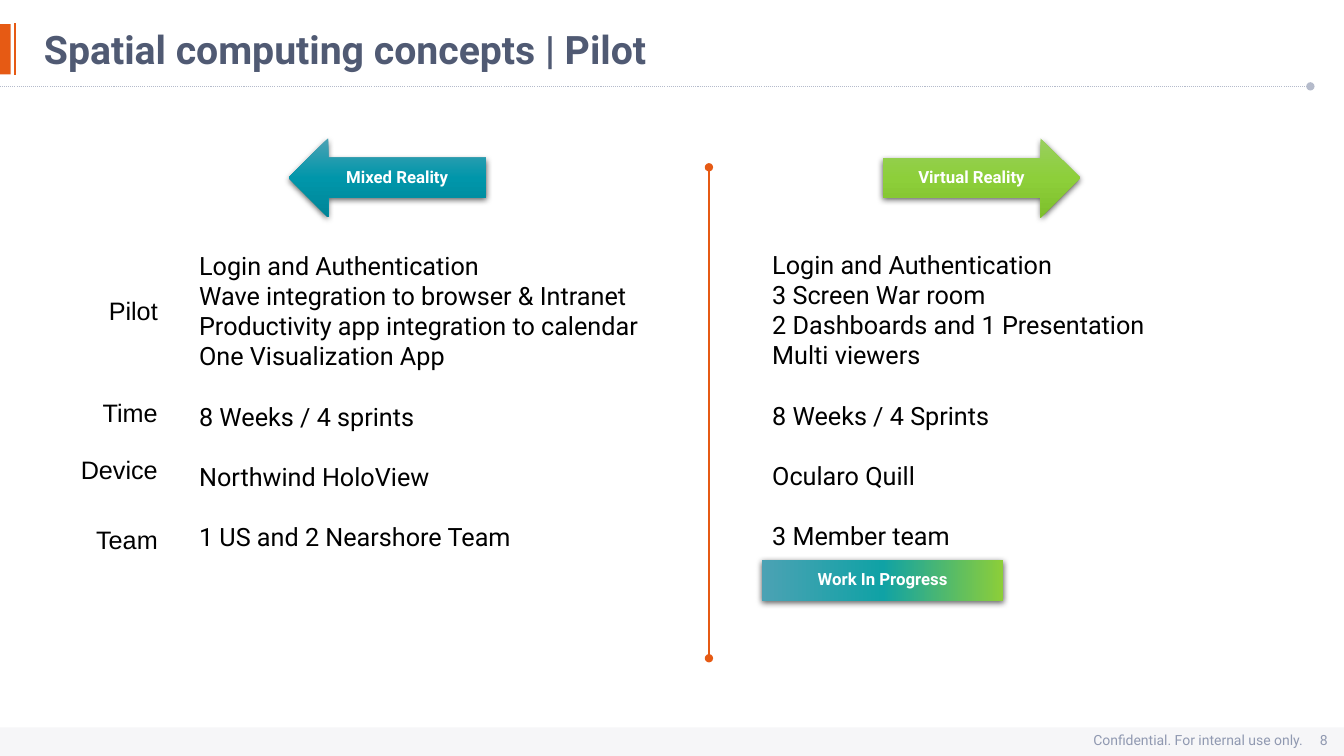
from dataclasses import dataclass

from lxml import etree
from pptx import Presentation
from pptx import util as u
from pptx.dml.color import RGBColor
from pptx.enum import dml, shapes, text
from pptx.oxml.ns import qn

Pt = u.Pt


@dataclass(frozen=True)
class Theme:
    orange: str = "E65A14"
    slate: str = "505A73"
    grey: str = "9099B1"
    rule: str = "B5BBCB"
    footer: str = "F6F6F8"
    black: str = "000000"
    white: str = "FFFFFF"
    teal: tuple = ("4BA2B4", "0096AA", "008597")
    green: tuple = ("99CF5F", "8DCF3A", "7EBF2C")
    blend: tuple = ("4BA2B4", "10A2A5", "8CCE39")
    font: str = "Roboto"
    label_font: str = "Arial"
    title_size: int = 28
    body_size: int = 18
    badge_size: int = 12
    footer_size: int = 10


THEME = Theme()
ALIGN = text.PP_ALIGN
SHAPE = shapes.MSO_SHAPE


@dataclass(frozen=True)
class Area:
    left: float
    top: float
    width: float
    height: float

    def points(self) -> tuple:
        return Pt(self.left), Pt(self.top), Pt(self.width), Pt(self.height)


@dataclass(frozen=True)
class Badge:
    caption: str
    kind: int
    area: Area
    colours: tuple
    angle: int


@dataclass(frozen=True)
class Column:
    area: Area
    groups: tuple  # each group of lines is set off by a gap


@dataclass(frozen=True)
class Line:
    start: tuple
    end: tuple
    colour: str
    width: float
    ends: tuple = ()
    dotted: bool = False


BADGES = (
    Badge("Mixed Reality", SHAPE.LEFT_ARROW, Area(206.2, 98.8, 141, 56.4), THEME.teal, 270),
    Badge("Virtual Reality", SHAPE.RIGHT_ARROW, Area(630.6, 98.8, 141, 56.6), THEME.green, 270),
    Badge("Work In Progress", SHAPE.RECTANGLE, Area(544.4, 400.2, 172.2, 28.8), THEME.blend, 0),
)
COLUMNS = (
    Column(Area(135, 175, 371.5, 225.4), (
        ("Login and Authentication", "Wave integration to browser & Intranet",
         "Productivity app integration to calendar", "One Visualization App"),
        ("8 Weeks / 4 sprints",),
        ("Northwind HoloView",),
        ("1 US and 2 Nearshore Team",),
    )),
    Column(Area(544.4, 174.3, 363, 247), (
        ("Login and Authentication", "3 Screen War room",
         "2 Dashboards and 1 Presentation", "Multi viewers"),
        ("8 Weeks / 4 Sprints",),
        ("Ocularo Quill",),
        ("3 Member team",),
    )),
)
LABELS = {"Pilot": 207.6, "Time": 280.4, "Device": 321.2, "Team": 371}
LINES = (
    Line((10.8, 16.8), (10.8, 53.4), THEME.orange, 1.5),
    Line((0, 61.7), (936, 61.7), THEME.rule, 0.75, ("tailEnd",), True),
    Line((506.4, 119.5), (506.4, 470.2), THEME.orange, 1.5, ("headEnd", "tailEnd")),
)


def write(para, words: str, size: float, colour: str, **formats) -> None:
    span = para.add_run()
    span.text = words
    for name, value in {"name": THEME.font, "size": Pt(size), "bold": False, **formats}.items():
        setattr(span.font, name, value)
    span.font.color.rgb = RGBColor.from_string(colour)


def place(shape, area: Area) -> None:
    for name, value in zip(("left", "top", "width", "height"), area.points()):
        setattr(shape, name, value)


def set_frame(frame, **formats) -> None:
    settings = {"auto_size": text.MSO_AUTO_SIZE.NONE, "word_wrap": True, **formats}
    for name, value in settings.items():
        setattr(frame, name, value)


def add_box(page, area: Area, words: str, size: float, colour: str, align, font: str) -> None:
    box = page.shapes.add_textbox(*area.points())
    set_frame(box.text_frame, word_wrap=False)
    para = box.text_frame.paragraphs[0]
    para.alignment = align
    write(para, words, size, colour, name=font)


def add_block(page, area: Area, colour: str) -> None:
    block = page.shapes.add_shape(SHAPE.RECTANGLE, *area.points())
    block.shadow.inherit = False
    block.fill.solid()
    block.fill.fore_color.rgb = RGBColor.from_string(colour)
    block.line.fill.background()


def add_line(page, line: Line) -> None:
    ends = [Pt(value) for value in line.start + line.end]
    connector = page.shapes.add_connector(shapes.MSO_CONNECTOR.STRAIGHT, *ends)
    connector.line.color.rgb = RGBColor.from_string(line.colour)
    connector.line.width = Pt(line.width)
    if line.dotted:
        connector.line.dash_style = dml.MSO_LINE.ROUND_DOT
    properties = connector.line._get_or_add_ln()
    for end in line.ends:
        etree.SubElement(properties, qn(f"a:{end}"), type="oval")
    etree.SubElement(connector._element.spPr, qn("a:effectLst"))


def add_colour(parent, colour: str):
    return etree.SubElement(parent, qn("a:srgbClr"), val=colour)


def add_badge(page, badge: Badge) -> None:
    shape = page.shapes.add_shape(badge.kind, *badge.area.points())
    shape.line.fill.background()
    # Three-stop gradient
    shape.fill.gradient()
    shape.fill.gradient_angle = badge.angle
    stops = shape._element.spPr.find(".//" + qn("a:gsLst"))
    for stop in list(stops):
        stops.remove(stop)
    for index, colour in enumerate(badge.colours):
        add_colour(etree.SubElement(stops, qn("a:gs"), pos=str(index * 50000)), colour)
    # Soft shadow below
    shape.shadow.inherit = False
    effects = shape._element.spPr.find(qn("a:effectLst"))
    shadow = etree.SubElement(effects, qn("a:outerShdw"), blurRad=str(Pt(4.5)),
                              dist=str(Pt(1.5)), dir="5400000", rotWithShape="0")
    etree.SubElement(add_colour(shadow, THEME.black), qn("a:alpha"), val="63000")
    # Caption
    set_frame(shape.text_frame, vertical_anchor=text.MSO_ANCHOR.MIDDLE,
              margin_left=0, margin_right=0, margin_top=0, margin_bottom=0)
    para = shape.text_frame.paragraphs[0]
    para.alignment = ALIGN.CENTER
    para.line_spacing = 0.9
    write(para, badge.caption, THEME.badge_size, THEME.white, bold=True)


def fill_column(box, column: Column) -> None:
    place(box, column.area)
    set_frame(box.text_frame, vertical_anchor=text.MSO_ANCHOR.TOP)
    para = None
    for number, group in enumerate(column.groups):
        for index, words in enumerate(group):
            para = box.text_frame.add_paragraph() if para else box.text_frame.paragraphs[0]
            para.space_before = Pt(21.5 if number and not index else 0)
            properties = para._p.get_or_add_pPr()
            properties.set("marL", "0")
            properties.set("indent", "0")
            etree.SubElement(properties, qn("a:buNone"))
            write(para, words, THEME.body_size, THEME.black)


def main() -> None:
    deck = Presentation()
    deck.slide_width, deck.slide_height = Pt(960), Pt(540)
    page = deck.slides.add_slide(deck.slide_layouts[3])
    title, *bodies = page.placeholders

    # Footer band and accent bar
    add_block(page, Area(0, 519.6, 960, 20.4), THEME.footer)
    add_block(page, Area(0, 17.2, 7.6, 36), THEME.orange)
    footers = (("8", Area(935.5, 519.2, 20.2, 19.4)),
               ("Confidential. For internal use only.", Area(771.1, 519.2, 169.2, 19.4)))
    for words, area in footers:
        add_box(page, area, words, THEME.footer_size, THEME.grey, ALIGN.CENTER, THEME.font)

    # Title
    place(title, Area(24.2, 8.2, 910.8, 53.3))
    set_frame(title.text_frame, vertical_anchor=text.MSO_ANCHOR.MIDDLE)
    heading = title.text_frame.paragraphs[0]
    heading.alignment = ALIGN.LEFT
    write(heading, "Spatial computing concepts | Pilot", THEME.title_size, THEME.slate, bold=True)

    # Rules, columns and row labels
    for line in LINES:
        add_line(page, line)
    for box, column in zip(bodies, COLUMNS):
        fill_column(box, column)
    for words, top in LABELS.items():
        add_box(page, Area(47.6, top, 72.2, 28.8), words, THEME.body_size, THEME.black,
                ALIGN.RIGHT, THEME.label_font)

    # Badges
    for badge in BADGES:
        add_badge(page, badge)

    deck.save("out.pptx")


if __name__ == "__main__":
    main()
